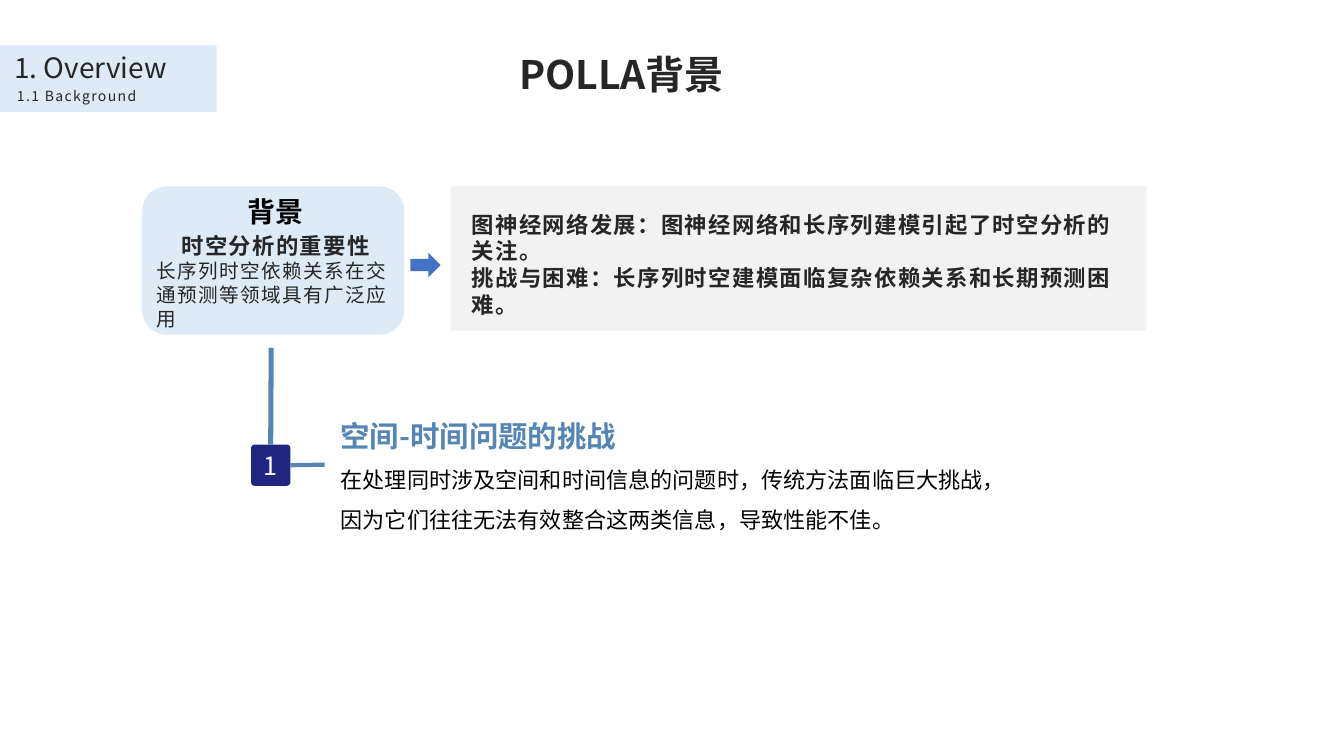
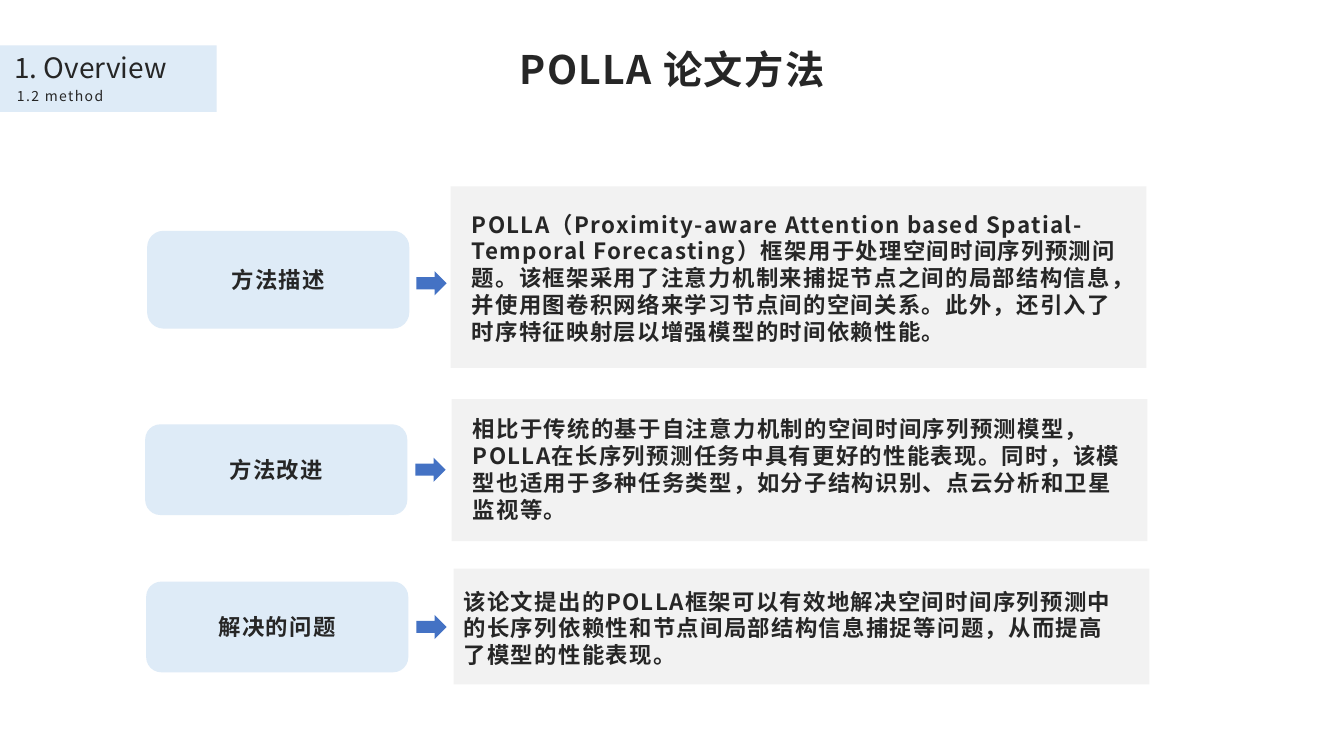
import pptx
import pptx.util
import pptx.dml.color
import pptx.enum.shapes
import pptx.enum.text
import pptx.oxml.ns
import lxml.etree

Inches = pptx.util.Inches
Pt = pptx.util.Pt
RGBColor = pptx.dml.color.RGBColor
SHAPE = pptx.enum.shapes.MSO_SHAPE
ALIGN = pptx.enum.text.PP_ALIGN
ANCHOR = pptx.enum.text.MSO_ANCHOR
qn = pptx.oxml.ns.qn

FONT = "Noto Sans CJK SC"
INK = RGBColor(0x26, 0x26, 0x26)
BLACK = RGBColor(0, 0, 0)
WHITE = RGBColor(0xFF, 0xFF, 0xFF)
PALE = RGBColor(0xDE, 0xEB, 0xF7)
GREY = RGBColor(0xF2, 0xF2, 0xF2)
BLUE = RGBColor(0x44, 0x72, 0xC4)
STEEL = RGBColor(0x55, 0x85, 0xB5)
NAVY = RGBColor(0x20, 0x25, 0x80)

CARD_W = 2.6
PANEL_W = 6.9
ARROW = (0.3, 0.24)
BODY = dict(size=16, bold=True, gap=1)

TOPIC = [
    ("背景", dict(size=20, bold=True, color=BLACK, align=ALIGN.CENTER)),
    ("时空分析的重要性", dict(BODY, align=ALIGN.CENTER, before=3)),
    ("长序列时空依赖关系在交通预测等领域具有广泛应用", dict(size=14, gap=1)),
]
TRENDS = [
    "图神经网络发展：图神经网络和长序列建模引起了时空分析的关注。",
    "挑战与困难：长序列时空建模面临复杂依赖关系和长期预测困难。",
]
ISSUE = [
    ("空间-时间问题的挑战", dict(size=21, bold=True, color=STEEL)),
    ("在处理同时涉及空间和时间信息的问题时，传统方法面临巨大挑战，因为它们往往无法有效整合这两类信息，导致性能不佳。",
     dict(size=15.8, color=BLACK, line=1.5)),
]
METHODS = [
    dict(label="方法描述", card=(1.46, 2.29, 0.97), arrow=(4.13, 2.69),
         panel=(4.47, 1.85, 1.8), pad=(0.21, 0.24, 0.22),
         text="POLLA（Proximity-aware Attention based Spatial-Temporal Forecasting）框架用于处理空间时间序列预测问题。该框架采用了注意力机制来捕捉节点之间的局部结构信息，并使用图卷积网络来学习节点间的空间关系。此外，还引入了时序特征映射层以增强模型的时间依赖性能。"),
    dict(label="方法改进", card=(1.44, 4.21, 0.9), arrow=(4.12, 4.54),
         panel=(4.48, 3.96, 1.41), pad=(0.21, 0.16, 0.11),
         text="相比于传统的基于自注意力机制的空间时间序列预测模型，POLLA在长序列预测任务中具有更好的性能表现。同时，该模型也适用于多种任务类型，如分子结构识别、点云分析和卫星监视等。"),
    dict(label="解决的问题", card=(1.45, 5.77, 0.9), arrow=(4.13, 6.1),
         panel=(4.5, 5.64, 1.15), pad=(0.1, 0.19, 0.22),
         text="该论文提出的POLLA框架可以有效地解决空间时间序列预测中的长序列依赖性和节点间局部结构信息捕捉等问题，从而提高了模型的性能表现。"),
]


def style(para, size, bold=False, color=INK, align=ALIGN.LEFT, gap=0, line=None, before=0):
    para.alignment = align
    para.space_before = Pt(before)
    if line:
        para.line_spacing = line
    font = para.font
    font.size, font.bold, font.name = Pt(size), bold, FONT
    font.color.rgb = color
    props = para._p.get_or_add_pPr().find(qn("a:defRPr"))
    props.set("spc", str(gap * 100))
    lxml.etree.SubElement(props, qn("a:ea")).set("typeface", FONT)


def write(shape, paras, pad=(0.1, 0.05, 0.1), anchor=ANCHOR.TOP):
    frame = shape.text_frame
    frame.word_wrap = True
    frame.auto_size = pptx.enum.text.MSO_AUTO_SIZE.NONE
    frame.vertical_anchor = anchor
    frame.margin_left, frame.margin_top, frame.margin_right = map(Inches, pad)
    frame.margin_bottom = Inches(min(pad[1], 0.05))
    for i, (text, look) in enumerate(paras):
        para = frame.add_paragraph() if i else frame.paragraphs[0]
        para.text = text
        style(para, **look)


def add_block(slide, kind, box, fill):
    shape = slide.shapes.add_shape(kind, *map(Inches, box))
    shape.shadow.inherit = False
    shape.fill.solid()
    shape.fill.fore_color.rgb = fill
    shape.line.fill.background()
    return shape


def add_text(slide, box, paras):
    write(slide.shapes.add_textbox(*map(Inches, box)), paras)


def add_line(slide, start, end, width):
    line = slide.shapes.add_connector(
        pptx.enum.shapes.MSO_CONNECTOR.STRAIGHT, *map(Inches, start + end))
    line.line.color.rgb = STEEL
    line.line.width = Pt(width)
    lxml.etree.SubElement(line._element.spPr, qn("a:effectLst"))
    return line


def add_arrow(slide, spot):
    add_block(slide, SHAPE.RIGHT_ARROW, spot + ARROW, BLUE)


def add_card(slide, card):
    left, top, height = card
    return add_block(slide, SHAPE.ROUNDED_RECTANGLE, (left, top, CARD_W, height), PALE)


def add_panel(slide, panel, texts, pad):
    left, top, height = panel
    shape = add_block(slide, SHAPE.RECTANGLE, (left, top, PANEL_W, height), GREY)
    write(shape, [(text, BODY) for text in texts], pad)


def add_slide(deck, title, box, look, part):
    slide = deck.slides.add_slide(deck.slide_layouts[5])
    head = slide.shapes.title
    head.left, head.top, head.width, head.height = map(Inches, box)
    write(head, [(title, dict(look, size=28, bold=True))])
    band = add_block(slide, SHAPE.RECTANGLE, (0, 0.45, 2.15, 0.66), PALE)
    write(band, [("1. Overview", dict(size=20))], (0.14, 0.05, 0.1))
    add_text(slide, (0.07, 0.79, 1.63, 0.3), [(part, dict(size=10, gap=1, line=Pt(14)))])
    return slide


def add_background(deck):
    slide = add_slide(deck, "POLLA背景", (5.05, 0.45, 3.24, 0.57), {}, "1.1 Background")
    write(add_card(slide, (1.41, 1.85, 1.47)), TOPIC, (0.07, 0.01, 0.02))
    add_arrow(slide, (4.07, 2.51))
    add_panel(slide, (4.47, 1.85, 1.43), TRENDS, (0.21, 0.24, 0.22))
    add_text(slide, (3.28, 4.1, 6.67, 1.25), ISSUE)
    badge = add_block(slide, SHAPE.ROUNDED_RECTANGLE, (2.49, 4.41, 0.39, 0.41), NAVY)
    badge.adjustments[0] = 0.09
    write(badge, [("1", dict(size=18, color=WHITE, align=ALIGN.CENTER))],
          (0, 0, 0), ANCHOR.MIDDLE)
    add_line(slide, (2.69, 3.45), (2.69, 4.41), 3.6).end_connect(badge, 0)
    add_line(slide, (2.88, 4.61), (3.22, 4.61), 3).begin_connect(badge, 3)


def add_methods(deck):
    look = dict(align=ALIGN.CENTER, gap=1, line=Pt(14))
    slide = add_slide(deck, "POLLA 论文方法", (4.32, 0.67, 4.69, 0.3), look, "1.2 method")
    for row in METHODS:
        write(add_card(slide, row["card"]), [(row["label"], dict(BODY, align=ALIGN.CENTER))],
              anchor=ANCHOR.MIDDLE)
        add_arrow(slide, row["arrow"])
        add_panel(slide, row["panel"], [row["text"]], row["pad"])


def main():
    deck = pptx.Presentation()
    deck.slide_width, deck.slide_height = Inches(13.33), Inches(7.5)
    add_background(deck)
    add_methods(deck)
    deck.save("out.pptx")


if __name__ == "__main__":
    main()
